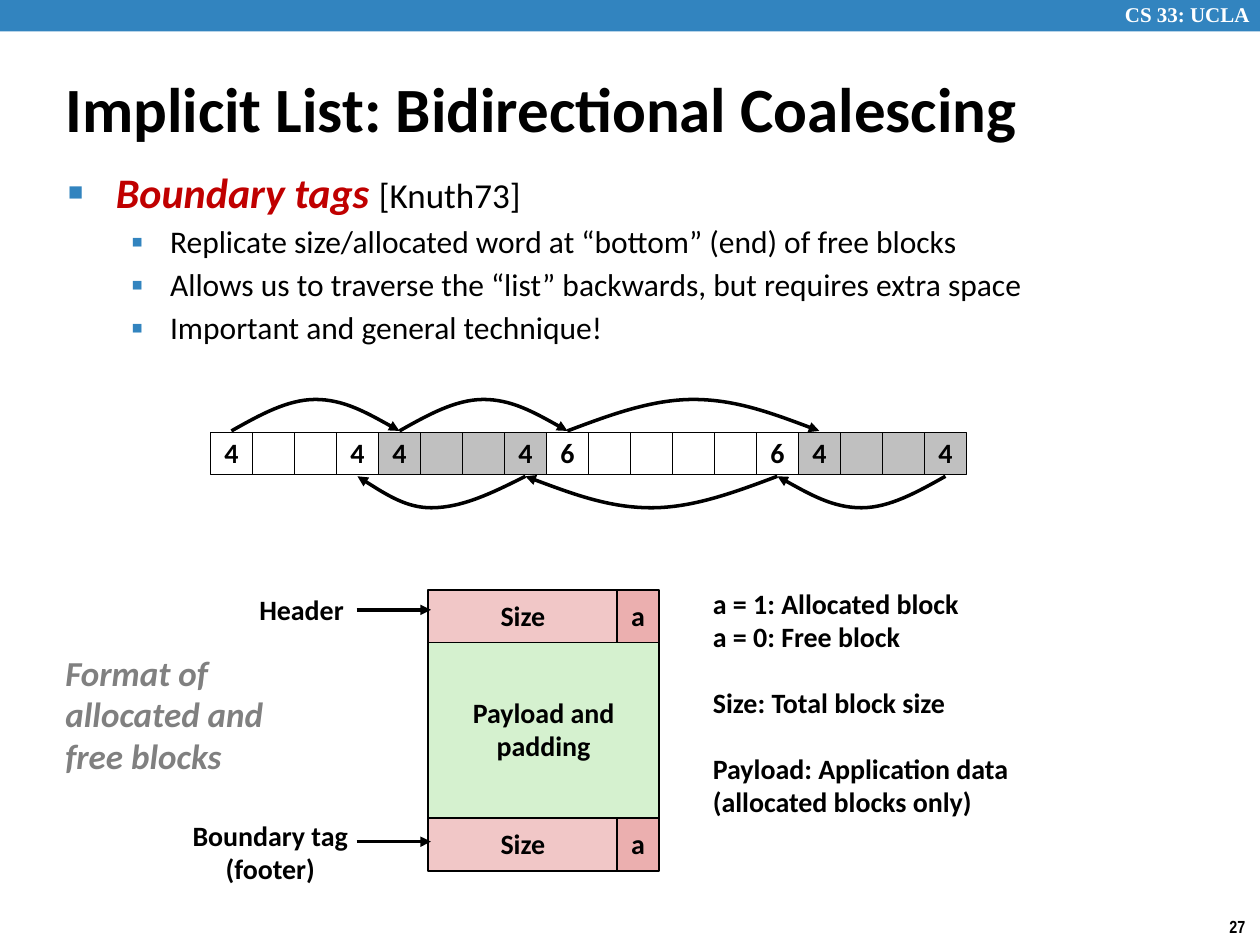
"""Build the slide on bidirectional coalescing with boundary tags."""
from lxml import etree
from pptx import Presentation
from pptx.dml.color import RGBColor
from pptx.enum.shapes import MSO_CONNECTOR, MSO_SHAPE
from pptx.enum.text import MSO_ANCHOR, MSO_AUTO_SIZE, PP_ALIGN
from pptx.oxml.ns import qn
from pptx.util import Inches, Pt

RECTANGLE, STRAIGHT = MSO_SHAPE.RECTANGLE, MSO_CONNECTOR.STRAIGHT
LEFT, CENTER = PP_ALIGN.LEFT, PP_ALIGN.CENTER
TOP, MIDDLE = MSO_ANCHOR.TOP, MSO_ANCHOR.MIDDLE
NO_AUTOFIT = MSO_AUTO_SIZE.NONE

BLACK = RGBColor(0x00, 0x00, 0x00)
WHITE = RGBColor(0xFF, 0xFF, 0xFF)
BLUE = RGBColor(0x32, 0x84, 0xBF)
RED = RGBColor(0xC0, 0x00, 0x00)
GRAY = RGBColor(0x80, 0x80, 0x80)
SILVER = RGBColor(0xC0, 0xC0, 0xC0)
PINK = RGBColor(0xF1, 0xC7, 0xC7)
ROSE = RGBColor(0xEB, 0xAF, 0xAF)
GREEN = RGBColor(0xD5, 0xF1, 0xCF)

LABEL = {"name": "Calibri", "size": Pt(16), "bold": True}
CAPTION = {"name": "Calibri", "size": Pt(20), "bold": True, "italic": True}
COURSE = {"name": "Times New Roman", "size": Pt(12), "bold": True}
NUMBER = {"name": "Arial Narrow", "size": Pt(10), "bold": True}
TITLE = {"name": "Calibri", "size": Pt(36), "bold": True}
TERM = {"name": "Calibri", "size": Pt(24), "bold": True, "italic": True}
CITATION = {"name": "Calibri", "size": Pt(20), "bold": False, "italic": False}
POINT = {"name": "Calibri", "size": Pt(18), "bold": False}


def write(frame, lines, font_format, color=BLACK, align=LEFT, anchor=TOP, wrap=False, spacing=0.98):
    frame.word_wrap = wrap
    frame.auto_size = NO_AUTOFIT
    frame.vertical_anchor = anchor
    for index, line in enumerate(lines):
        paragraph = frame.paragraphs[0] if index == 0 else frame.add_paragraph()
        paragraph.alignment = align
        paragraph.line_spacing = spacing
        run = paragraph.add_run()
        run.text = line
        for key, value in font_format.items():
            setattr(run.font, key, value)
        run.font.color.rgb = color


def style_arrow(arrow):
    arrow.line.color.rgb = BLACK
    arrow.line.width = Pt(2)
    etree.SubElement(arrow.line._get_or_add_ln(), qn("a:tailEnd"), type="triangle")
    properties = arrow._element.spPr
    if properties.find(qn("a:effectLst")) is None:
        etree.SubElement(properties, qn("a:effectLst"))


presentation = Presentation()
presentation.slide_width = Inches(10)
presentation.slide_height = Inches(7.5)
slide = presentation.slides.add_slide(presentation.slide_layouts[1])
shapes = slide.shapes

banner = shapes.add_shape(RECTANGLE, 0, 0, Inches(10), Inches(0.25))
banner.shadow.inherit = False
banner.fill.solid()
banner.fill.fore_color.rgb = BLUE
banner.line.fill.background()

title, body = slide.placeholders
for placeholder, bounds in ((title, (0.42, 0.54, 9.58, 0.63)), (body, (0.44, 1.34, 9.09, 1.45))):
    placeholder.left, placeholder.top, placeholder.width, placeholder.height = map(Inches, bounds)
write(title.text_frame, ["Implicit List: Bidirectional Coalescing"], TITLE, anchor=MIDDLE,
      wrap=True, spacing=1.0)

points = (
    (0, (("Boundary tags ", TERM, RED), ("[Knuth73]", CITATION, BLACK))),
    (1, (("Replicate size/allocated word at “bottom” (end) of free blocks", POINT, BLACK),)),
    (1, (("Allows us to traverse the “list” backwards, but requires extra space", POINT, BLACK),)),
    (1, (("Important and general technique!", POINT, BLACK),)),
)
bullet_levels = (("■", 60, 0.38, 0.38, 0.83, 0), ("▪", 110, 0.81, 0.31, 0.88, 5.6))
body.text_frame.auto_size = NO_AUTOFIT
for index, (level, pieces) in enumerate(points):
    mark, percent, margin, hanging, spacing, before = bullet_levels[level]
    point = body.text_frame.paragraphs[0] if index == 0 else body.text_frame.add_paragraph()
    point.level = level
    properties = point._p.get_or_add_pPr()
    properties.set("marL", str(Inches(margin)))
    properties.set("indent", str(-Inches(hanging)))
    bullet_color = etree.SubElement(properties, qn("a:buClr"))
    etree.SubElement(bullet_color, qn("a:srgbClr"), val=str(BLUE))
    etree.SubElement(properties, qn("a:buSzPct"), val=str(percent * 1000))
    etree.SubElement(properties, qn("a:buChar"), char=mark)
    point.line_spacing = spacing
    point.space_before = Pt(before)
    for text, font_format, color in pieces:
        run = point.add_run()
        run.text = text
        for key, value in font_format.items():
            setattr(run.font, key, value)
        run.font.color.rgb = color

heap = shapes.add_group_shape()
WORD = 1 / 3
HEAP_LEFT, HEAP_TOP = 1.67, 3.43
boxes = []
word = 0
for size, fill in ((4, WHITE), (4, SILVER), (6, WHITE), (4, SILVER)):
    for offset in range(size):
        tag = [str(size)] if offset in (0, size - 1) else []
        boxes.append((heap.shapes, (HEAP_LEFT + word * WORD, HEAP_TOP, WORD, WORD), fill, 0.25, tag))
        word += 1

boxes.append((shapes, (3.4, 5.09, 1.83, 1.41), GREEN, 1, ["Payload and", "padding"]))
for tag_top in (4.68, 6.49):
    boxes.append((shapes, (3.4, tag_top, 1.5, 0.42), PINK, 1, ["Size"]))
    boxes.append((shapes, (4.9, tag_top, 0.33, 0.42), ROSE, 1, ["a"]))

for parent, bounds, fill, line_width, lines in boxes:
    box = parent.add_shape(RECTANGLE, *map(Inches, bounds))
    box.shadow.inherit = False
    box.fill.solid()
    box.fill.fore_color.rgb = fill
    box.line.color.rgb = BLACK
    box.line.width = Pt(line_width)
    write(box.text_frame, lines, LABEL, align=CENTER, anchor=MIDDLE)

links = (
    (0, 4, 3.42, -0.25, 0.5), (4, 8, 3.42, -0.25, 0.5), (8, 14, 3.42, -0.25, 0.5),
    (7, 3, 3.78, 0.25, 0.56), (13, 7, 3.78, 0.25, 0.5), (17, 13, 3.78, 0.25, 0.5),
)
for first_word, last_word, base, rise, peak in links:
    start = HEAP_LEFT + (first_word + 0.5) * WORD
    span = (last_word - first_word) * WORD
    rest = 1 - peak
    steps = (peak / 3, peak * 2 / 3, peak, peak + rest / 3, peak + rest * 2 / 3, 1)
    heights = (0.5, 1, 1, 1, 0.5, 0)
    builder = heap.shapes.build_freeform(Inches(start), Inches(base))
    builder.add_line_segments(
        [(Inches(start + step * span), Inches(base + height * rise))
         for step, height in zip(steps, heights)], close=False)
    link = builder.convert_to_shape()
    outline = link._element.find(".//" + qn("a:path"))
    segments = outline.findall(qn("a:lnTo"))
    for begin in (0, 3):
        curve = etree.SubElement(outline, qn("a:cubicBezTo"))
        for segment in segments[begin:begin + 3]:
            curve.append(segment[0])
            outline.remove(segment)
    link.shadow.inherit = False
    link.fill.background()
    style_arrow(link)

texts = (
    ((8.83, -0.03, 1.24, 0.3), ["CS 33: UCLA"], COURSE, WHITE, LEFT),
    ((9.66, 7.23, 0.34, 0.27), ["27"], NUMBER, BLACK, LEFT),
    ((0.42, 5.14, 1.78, 1.09), ["Format of", "allocated and", "free blocks"], CAPTION, GRAY, LEFT),
    ((1.96, 4.67, 0.88, 0.37), ["Header"], LABEL, BLACK, LEFT),
    ((1.42, 6.46, 1.45, 0.63), ["Boundary tag", "(footer)"], LABEL, BLACK, CENTER),
)
for bounds, lines, font_format, color, align in texts:
    label = shapes.add_textbox(*map(Inches, bounds))
    write(label.text_frame, lines, font_format, color, align)

legend = shapes.add_textbox(Inches(5.56), Inches(4.62), Inches(2.57), Inches(2.22))
write(legend.text_frame, [
    "a = 1: Allocated block", "a = 0: Free block", "Size: Total block size",
    "Payload: Application data", "(allocated blocks only)"], LABEL)
for entry in legend.text_frame.paragraphs[2:4]:
    entry.space_before = Pt(19)

for pointer_top in (4.84, 6.68):
    pointer = shapes.add_connector(
        STRAIGHT, Inches(2.83), Inches(pointer_top), Inches(3.42), Inches(pointer_top))
    style_arrow(pointer)

presentation.save("out.pptx")
